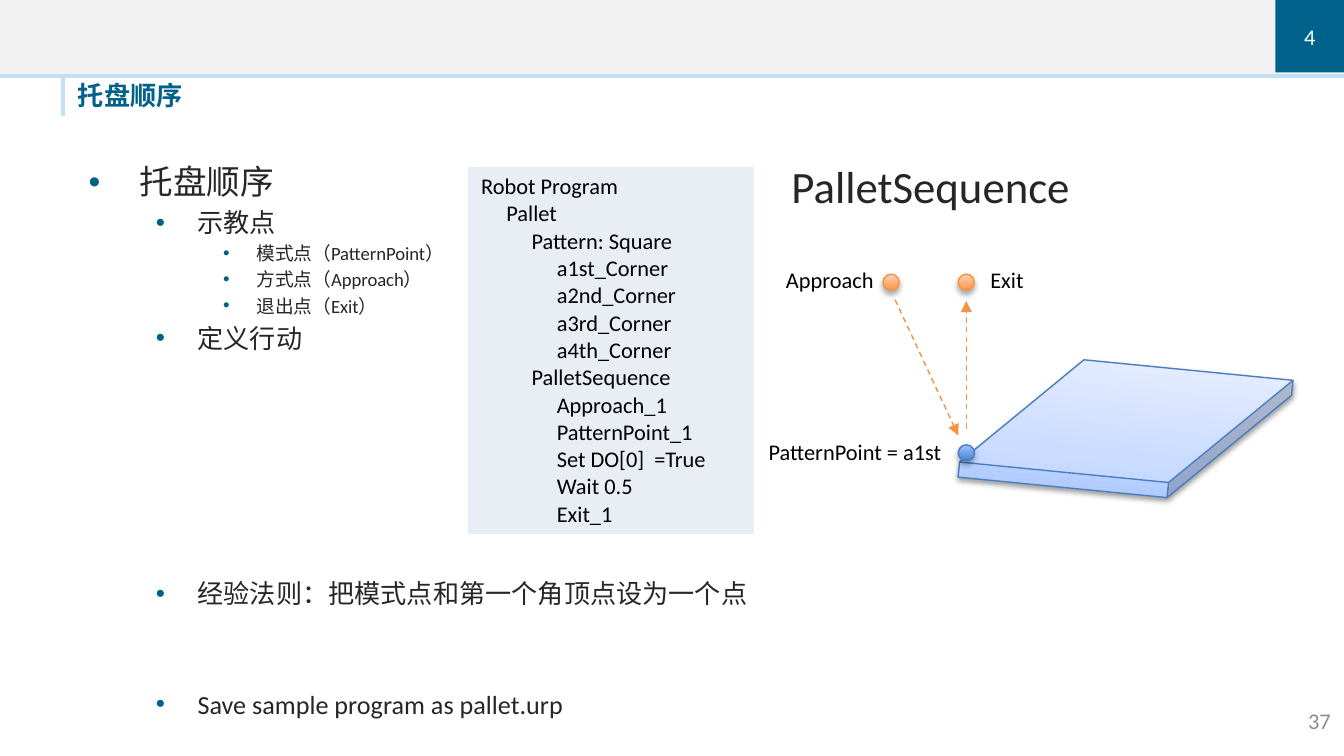
from lxml.etree import SubElement
from pptx import Presentation
from pptx.dml.color import RGBColor
from pptx.enum.dml import MSO_LINE
from pptx.enum.shapes import MSO_CONNECTOR, MSO_SHAPE
from pptx.enum.text import MSO_ANCHOR, MSO_AUTO_SIZE, PP_ALIGN
from pptx.oxml.ns import qn
from pptx.util import Inches, Pt

BLUE, SKY, INK = "00628B", "C2E1F6", "262626"
ORANGE, EDGE = "F69240", "4B7EBC"


def color(code):
    return RGBColor.from_string(code)


def node(parent, tag, **attrs):
    return SubElement(parent, qn("a:" + tag), {k: str(v) for k, v in attrs.items()})


def write(para, text, size=12, ink="000000", bold=False, align=None, before=0):
    para.text = text
    para.alignment = align
    para.space_before = Pt(before)
    font = para.font
    font.name, font.size, font.bold = "Calibri", Pt(size), bold
    font.color.rgb = color(ink)


class Deck:
    def __init__(self, wide, high):
        self.prs = Presentation()
        self.prs.slide_width, self.prs.slide_height = Inches(wide), Inches(high)
        self.slide = self.prs.slides.add_slide(self.prs.slide_layouts[1])
        self.shapes = self.slide.shapes

    def frame(self, shape, pads=(0.1, 0.05, 0.1, 0.05), anchor=MSO_ANCHOR.TOP):
        frame = shape.text_frame
        frame.word_wrap = True
        frame.auto_size = MSO_AUTO_SIZE.NONE
        frame.vertical_anchor = anchor
        (frame.margin_left, frame.margin_top,
         frame.margin_right, frame.margin_bottom) = map(Inches, pads)
        return frame

    def place(self, holder, x, y, w, h):
        holder.left, holder.top = Inches(x), Inches(y)
        holder.width, holder.height = Inches(w), Inches(h)

    def title(self, text, *box):
        self.place(self.shapes.title, *box)
        frame = self.frame(self.shapes.title, (0, 0, 0, 0.04))
        write(frame.paragraphs[0], text, 14, BLUE, True, PP_ALIGN.LEFT)

    def bullets(self, items, *box):
        styles = ((18, 0.38, 0.38), (14, 0.81, 0.31), (10, 1.25, 0.25))
        body = self.slide.placeholders[1]
        self.place(body, *box)
        frame = self.frame(body)
        for i, (level, text, before) in enumerate(items):
            para = frame.add_paragraph() if i else frame.paragraphs[0]
            size, left, hang = styles[level]
            para.level = level
            props = para._p.get_or_add_pPr()
            props.set("marL", str(Inches(left)))
            props.set("indent", str(-Inches(hang)))
            node(node(props, "buClr"), "srgbClr", val=BLUE)
            node(props, "buFont", typeface="Arial")
            node(props, "buChar", char="•")
            write(para, text, size, INK, before=before)

    def label(self, text, x, y, w, h, anchor=MSO_ANCHOR.TOP, **form):
        box = self.shapes.add_textbox(*map(Inches, (x, y, w, h)))
        write(self.frame(box, anchor=anchor).paragraphs[0], text, **form)

    def rect(self, x, y, w, h, fill):
        shape = self.shapes.add_shape(MSO_SHAPE.RECTANGLE, *map(Inches, (x, y, w, h)))
        shape.shadow.inherit = False
        shape.fill.solid()
        shape.fill.fore_color.rgb = color(fill)
        shape.line.fill.background()
        return shape

    def solid(self, kind, x, y, w, h, stops, edge, alpha=35, dist=1.8):
        """Shape with an upward gradient and a soft shadow below."""
        shape = self.shapes.add_shape(kind, *map(Inches, (x, y, w, h)))
        shape.fill.gradient()
        shape.fill.gradient_angle = 90
        ramp = shape._element.spPr.find(".//" + qn("a:gsLst"))
        for stop in list(ramp):
            ramp.remove(stop)
        for pos, code in stops:
            node(node(ramp, "gs", pos=pos * 1000), "srgbClr", val=code)
        shape.line.color.rgb = color(edge)
        shape.line.width = Pt(0.75)
        shape.shadow.inherit = False
        glow = node(shape._element.spPr.find(qn("a:effectLst")), "outerShdw",
                    blurRad=Pt(3.1), dist=Pt(dist), dir=5400000, rotWithShape=0)
        node(node(glow, "srgbClr", val="000000"), "alpha", val=alpha * 1000)
        return shape

    def dot(self, x, y, stops, edge):
        self.solid(MSO_SHAPE.OVAL, x, y, 0.12, 0.12, stops, edge)

    def line(self, x1, y1, x2, y2, ink, width, arrow=False):
        link = self.shapes.add_connector(
            MSO_CONNECTOR.STRAIGHT, *map(Inches, (x1, y1, x2, y2)))
        link.line.color.rgb = color(ink)
        link.line.width = Pt(width)
        if arrow:
            link.line.dash_style = MSO_LINE.DASH
            node(link.line._get_or_add_ln(), "tailEnd", type="triangle")
        node(link._element.spPr, "effectLst")

    def listing(self, lines, x, y, w, h, fill):
        table = self.shapes.add_table(1, 1, *map(Inches, (x, y, w, h))).table
        cell = table.cell(0, 0)
        for side in ("lnL", "lnR", "lnT", "lnB"):
            border = node(cell._tc.get_or_add_tcPr(), side, w=Pt(1))
            node(node(border, "solidFill"), "srgbClr", val="FFFFFF")
        cell.fill.solid()
        cell.fill.fore_color.rgb = color(fill)
        for i, (depth, text) in enumerate(lines):
            frame = cell.text_frame
            para = frame.add_paragraph() if i else frame.paragraphs[0]
            write(para, " " * 5 * depth + text)


def main():
    deck = Deck(10, 10 * 9 / 16)

    # Header band, section number and title
    deck.rect(0, 0, 10, 0.58, SKY)
    deck.rect(0, 0, 10, 0.55, "F2F2F2")
    deck.line(0.47, 0.58, 0.47, 0.86, SKY, 2.5)
    badge = deck.rect(9.49, 0, 0.51, 0.54, BLUE)
    frame = deck.frame(badge, (0, 0, 0, 0), MSO_ANCHOR.MIDDLE)
    write(frame.paragraphs[0], "4", ink="FFFFFF", align=PP_ALIGN.CENTER)
    deck.title("托盘顺序", 0.58, 0.59, 4.41, 0.28)

    # Outline: level, text, space before
    deck.bullets((
        (0, "托盘顺序", 0),
        (1, "示教点", 2.8),
        (2, "模式点（PatternPoint）", 2),
        (2, "方式点（Approach）", 2),
        (2, "退出点（Exit）", 2),
        (1, "定义行动", 2.8),
        (1, "经验法则：把模式点和第一个角顶点设为一个点", 120),
        (1, "Save sample program as pallet.urp", 42.5),
    ), 0.56, 1.15, 8.86, 4.33)

    # Robot program: depth, text
    corners = [(3, f"a{nth}_Corner") for nth in ("1st", "2nd", "3rd", "4th")]
    steps = ("Approach_1", "PatternPoint_1", "Set DO[0]  =True", "Wait 0.5", "Exit_1")
    deck.listing(
        [(0, "Robot Program"), (1, "Pallet"), (2, "Pattern: Square"), *corners,
         (2, "PalletSequence"), *((3, step) for step in steps)],
        3.48, 1.24, 2.14, 2.7, "E9EDF4")

    # Pallet
    pallet = deck.solid(MSO_SHAPE.CUBE, 7.17, 2.71, 2.41, 0.96,
                        ((0, "A4C4FF"), (35, "BFD4FF"), (100, "E6EEFF")),
                        EDGE, 38, 1.6)
    pallet.adjustments[0] = 0.883
    pallet.rotation = 5.6

    # Points and the moves between them
    warm = ((0, "FF953E"), (100, "FFD2BD"))
    deck.dot(7.13, 3.31, ((0, "3F80CE"), (100, "A4C4FF")), EDGE)
    deck.dot(7.13, 2.04, warm, ORANGE)
    deck.dot(6.57, 2.04, warm, ORANGE)
    deck.label("PatternPoint = a1st", 5.62, 3.21, 1.51, 0.5)
    deck.label("Exit", 7.27, 1.93, 0.53, 0.3)
    deck.label("Approach", 5.75, 1.93, 0.96, 0.3)
    deck.line(6.66, 2.23, 7.13, 3.24, ORANGE, 0.75, arrow=True)
    deck.line(7.19, 3.19, 7.19, 2.24, ORANGE, 0.75, arrow=True)
    deck.label("PalletSequence", 5.79, 1.13, 2.51, 0.5, size=24, ink=INK)

    # Page number
    deck.label("37", 9, 5.21, 1, 0.3, MSO_ANCHOR.MIDDLE,
               ink="8C8C8C", align=PP_ALIGN.RIGHT)

    deck.prs.save("out.pptx")


if __name__ == "__main__":
    main()
